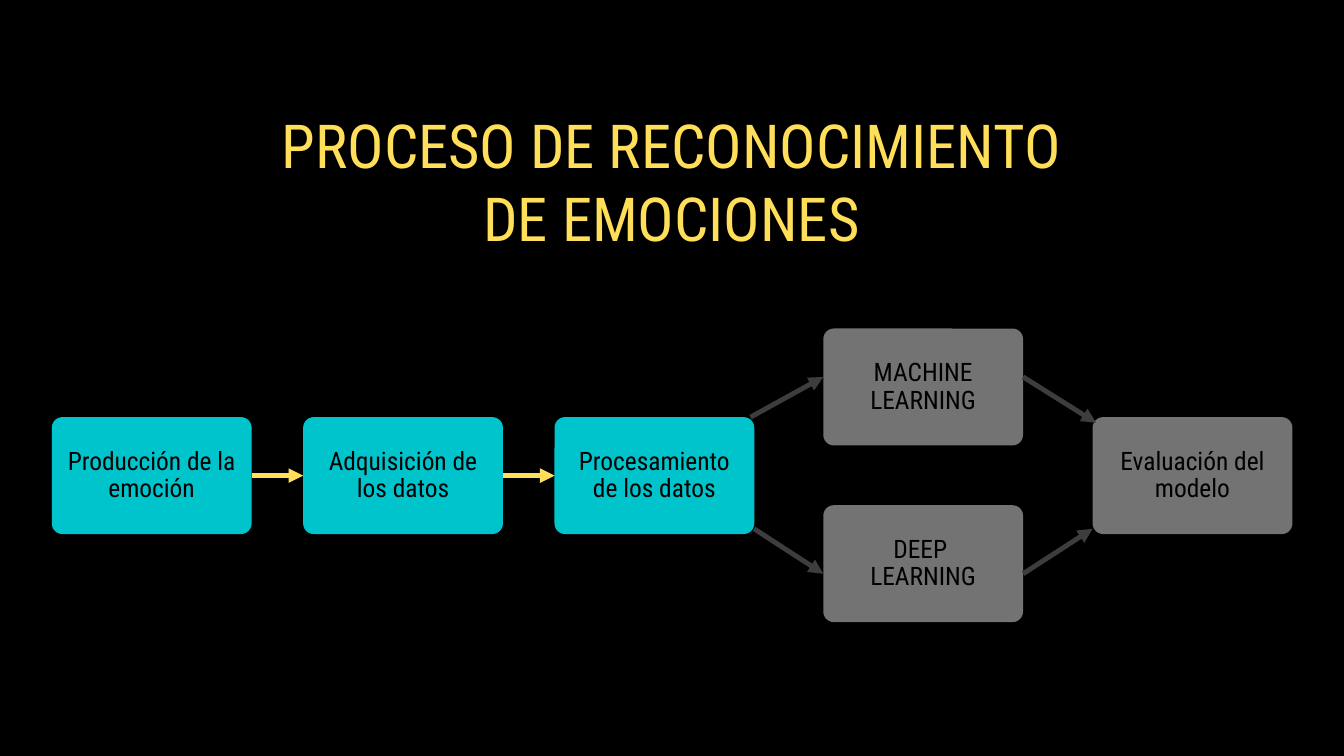
from typing import NamedTuple

from lxml.etree import SubElement
from pptx import Presentation
from pptx.dml.color import RGBColor
from pptx.enum.shapes import MSO_CONNECTOR as Line, MSO_SHAPE as Shape
from pptx.enum.text import MSO_ANCHOR as Anchor, PP_ALIGN as Align
from pptx.oxml.ns import qn
from pptx.util import Cm, Pt

BLACK = RGBColor(0x00, 0x00, 0x00)
CYAN = RGBColor(0x00, 0xC4, 0xCC)
GRAY = RGBColor(0x73, 0x73, 0x73)
DARK = RGBColor(0x3D, 0x3D, 0x3D)
GOLD = RGBColor(0xFF, 0xDE, 0x59)
FONT = "Roboto Condensed"

# Centimetres
WIDE, HIGH = 7.55, 4.42
LEFT, STEP = 1.96, 9.5
MID = 15.77
MODEL, EVAL = 31.12, 41.3
UPPER, LOWER = 12.42, 19.1


class Step(NamedTuple):
    text: str
    x: float
    y: float
    fill: RGBColor


class Arrow(NamedTuple):
    x1: float
    y1: float
    x2: float
    y2: float


DONE = ["Producción de la emoción", "Adquisición de los datos",
        "Procesamiento de los datos"]
STEPS = [Step(text, LEFT + i * STEP, MID, CYAN) for i, text in enumerate(DONE)] + [
    Step("MACHINE LEARNING", MODEL, UPPER, GRAY),
    Step("DEEP \nLEARNING", MODEL, LOWER, GRAY),
    Step("Evaluación del modelo", EVAL, MID, GRAY),
]
OUT = MODEL + WIDE
ARROWS = [
    Arrow(28.37, MID, MODEL, 14.25),
    Arrow(28.5, 19.99, MODEL, 21.69),
    Arrow(OUT, 14.25, 41.43, 15.98),
    Arrow(OUT, 21.69, EVAL, 19.99),
]


def write(frame, text: str, size: float, lead: float, color: RGBColor,
          side: float = 0, top: float = 0) -> None:
    """Fill a text frame with centred lines at a fixed leading."""
    form = {"word_wrap": True, "vertical_anchor": Anchor.TOP,
            "margin_left": Cm(side), "margin_right": Cm(side),
            "margin_top": Cm(top), "margin_bottom": 0}
    for name, value in form.items():
        setattr(frame, name, value)
    frame.text = text
    for para in frame.paragraphs:
        para.alignment = Align.CENTER
        para.line_spacing = Pt(lead)
        for name, value in {"name": FONT, "size": Pt(size)}.items():
            setattr(para.font, name, value)
        para.font.color.rgb = color


def add_step(slide, step: Step):
    box = slide.shapes.add_shape(Shape.ROUNDED_RECTANGLE, Cm(step.x), Cm(step.y),
                                 Cm(WIDE), Cm(HIGH))
    box.adjustments[0] = 0.09
    box.shadow.inherit = False
    box.fill.solid()
    box.fill.fore_color.rgb = step.fill
    box.line.fill.background()
    write(box.text_frame, step.text, 27.2, 29.9, BLACK, side=0.45, top=1.02)
    return box


def add_arrow(slide, arrow: Arrow, color: RGBColor):
    line = slide.shapes.add_connector(Line.STRAIGHT, *map(Cm, arrow))
    line.line.color.rgb = color
    line.line.width = Pt(5.25)
    props = line.element.spPr
    SubElement(props.find(qn("a:ln")), qn("a:tailEnd"), type="triangle")
    SubElement(props, qn("a:effectLst"))
    return line


def main() -> None:
    deck = Presentation()
    deck.slide_width, deck.slide_height = Cm(50.8), Cm(28.58)
    slide = deck.slides.add_slide(deck.slide_layouts[6])
    slide.background.fill.solid()
    slide.background.fill.fore_color.rgb = BLACK

    boxes = [add_step(slide, step) for step in STEPS]
    done = boxes[:len(DONE)]
    for start, end in zip(done, done[1:]):
        link = add_arrow(slide, Arrow(0, 0, 1, 0), GOLD)
        link.begin_connect(start, 3)
        link.end_connect(end, 1)
    for arrow in ARROWS:
        add_arrow(slide, arrow, DARK)

    title = slide.shapes.add_textbox(Cm(5.82), Cm(4.09), Cm(39.14), Cm(6.05))
    write(title.text_frame, "PROCESO DE RECONOCIMIENTO\nDE EMOCIONES", 65, 78, GOLD)
    deck.save("out.pptx")


if __name__ == "__main__":
    main()
